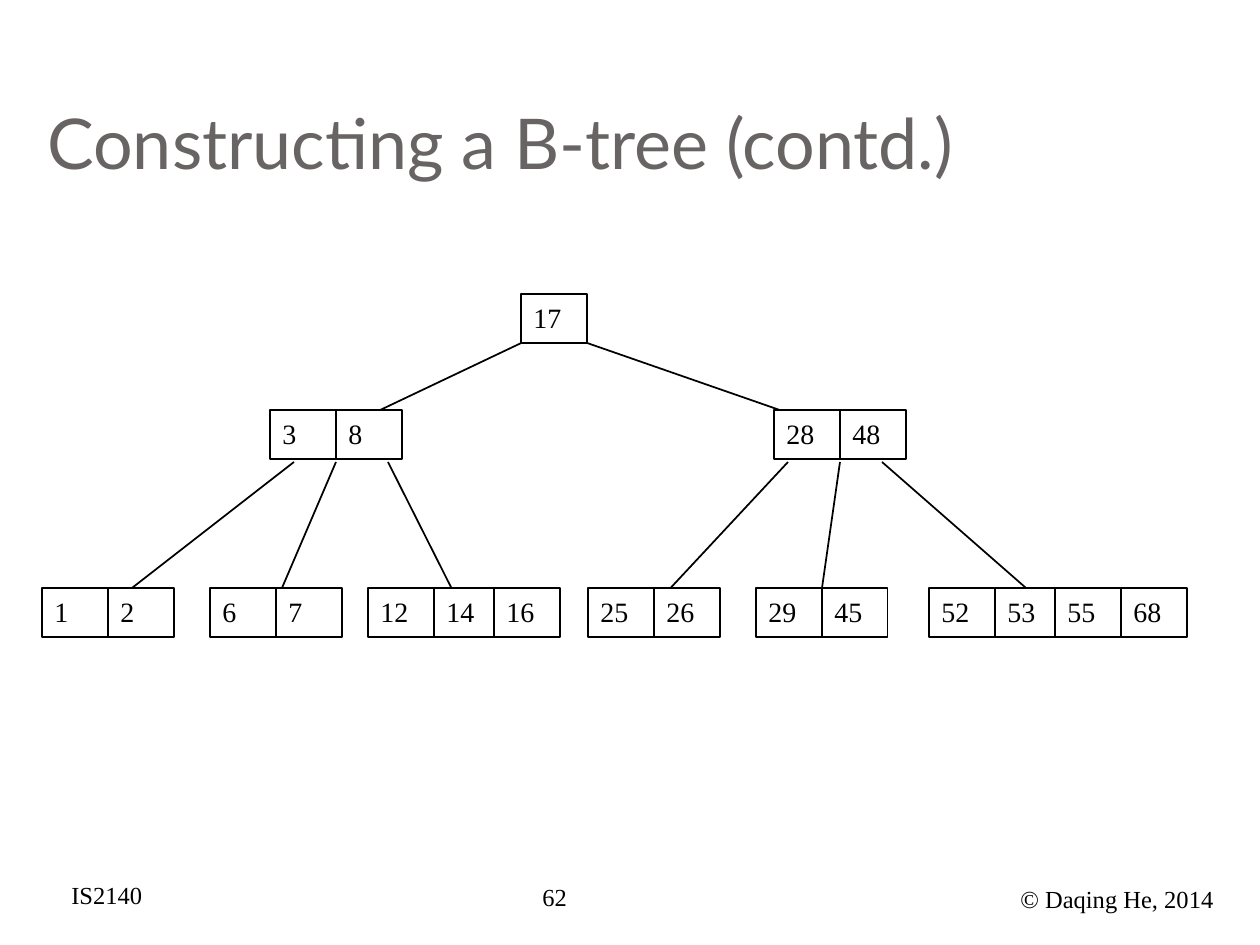
import pptx
import pptx.dml.color
import pptx.enum.shapes
import pptx.enum.text
import pptx.oxml
import pptx.util
from dataclasses import dataclass

PX_PER_INCH = 126


def emu(px):
    return pptx.util.Emu(round(px * 914400 / PX_PER_INCH))


@dataclass(frozen=True)
class Theme:
    ink: str = "000000"
    paper: str = "FFFFFF"
    heading: str = "696464"
    heading_font: str = "Lato"
    body_font: str = "Times New Roman"
    heading_size: int = 40
    key_size: int = 16
    footer_size: int = 14
    edge_width: float = 1
    border_width: float = 0.75


class TreeSlide:
    def __init__(self, slide, theme):
        self.slide = slide
        self.theme = theme

    def color(self, value):
        return pptx.dml.color.RGBColor.from_string(value)

    def set_text(self, shape, text, size, font=None, ink=None, **frame_format):
        frame = shape.text_frame
        frame_format = {"word_wrap": True,
                        "vertical_anchor": pptx.enum.text.MSO_ANCHOR.TOP,
                        **frame_format}
        for name, value in frame_format.items():
            setattr(frame, name, value)
        paragraph = frame.paragraphs[0]
        paragraph.alignment = pptx.enum.text.PP_ALIGN.LEFT
        run = paragraph.add_run()
        run.text = text
        font_format = {"name": font or self.theme.body_font,
                       "size": pptx.util.Pt(size)}
        for name, value in font_format.items():
            setattr(run.font, name, value)
        run.font.color.rgb = self.color(ink or self.theme.ink)

    def outline(self, line, width):
        line.color.rgb = self.color(self.theme.ink)
        line.width = pptx.util.Pt(width)

    def title(self, text, *box):
        label = self.slide.shapes.add_textbox(*map(emu, box))
        self.set_text(label, text, self.theme.heading_size,
                      self.theme.heading_font, self.theme.heading,
                      vertical_anchor=pptx.enum.text.MSO_ANCHOR.BOTTOM,
                      margin_bottom=emu(13))

    def footer(self, text, *box):
        label = self.slide.shapes.add_textbox(*map(emu, box))
        self.set_text(label, text, self.theme.footer_size)

    def edge(self, *ends):
        connector = self.slide.shapes.add_connector(
            pptx.enum.shapes.MSO_CONNECTOR.STRAIGHT, *map(emu, ends))
        self.outline(connector.line, self.theme.edge_width)
        connector.element.spPr.append(pptx.oxml.parse_xml(
            '<a:effectLst xmlns:a='
            '"http://schemas.openxmlformats.org/drawingml/2006/main"/>'))

    def node(self, left, top, keys):
        for key, offset in zip(keys, KEY_OFFSETS):
            cell = self.slide.shapes.add_shape(
                pptx.enum.shapes.MSO_SHAPE.RECTANGLE,
                *map(emu, (left + offset, top, KEY_WIDTH, KEY_HEIGHT)))
            cell.shadow.inherit = False
            cell.fill.solid()
            cell.fill.fore_color.rgb = self.color(self.theme.paper)
            self.outline(cell.line, self.theme.border_width)
            self.set_text(cell, str(key), self.theme.key_size)


KEY_WIDTH, KEY_HEIGHT = 66, 49
KEY_OFFSETS = (0, 66, 126, 192)

# Tree levels: top of the row, then left edge and keys of each node
LEVELS = {
    294: [(521, [17])],
    410: [(270, [3, 8]), (774, [28, 48])],
    588: [(42, [1, 2]), (210, [6, 7]), (368, [12, 14, 16]),
          (588, [25, 26]), (756, [29, 45]), (929, [52, 53, 55, 68])],
}

# Edges: top and bottom of the band, then x at parent and at child
EDGES = {
    (462, 609): [(294, 105), (336, 273), (388, 462),
                 (788, 651), (840, 819), (882, 1050)],
    (336, 431): [(536, 336), (567, 840)],
}

FOOTERS = [
    ("62", 530, 876, 147, 47),
    ("IS2140", 59, 874, 102, 43),
    ("© Daqing He, 2014", 1008, 878, 242, 43),
]


def main():
    deck = pptx.Presentation()
    deck.slide_width, deck.slide_height = emu(1260), emu(945)
    page = TreeSlide(deck.slides.add_slide(deck.slide_layouts[6]), Theme())

    # Footer line
    for footer in FOOTERS:
        page.footer(*footer)

    # Edges lie behind the nodes
    for (top, bottom), spans in EDGES.items():
        for parent_x, child_x in spans:
            page.edge(parent_x, top, child_x, bottom)

    page.title("Constructing a B-tree (contd.)", 35, 38, 1198, 158)

    # Nodes
    for top, nodes in LEVELS.items():
        for left, keys in nodes:
            page.node(left, top, keys)

    deck.save("out.pptx")


if __name__ == "__main__":
    main()
